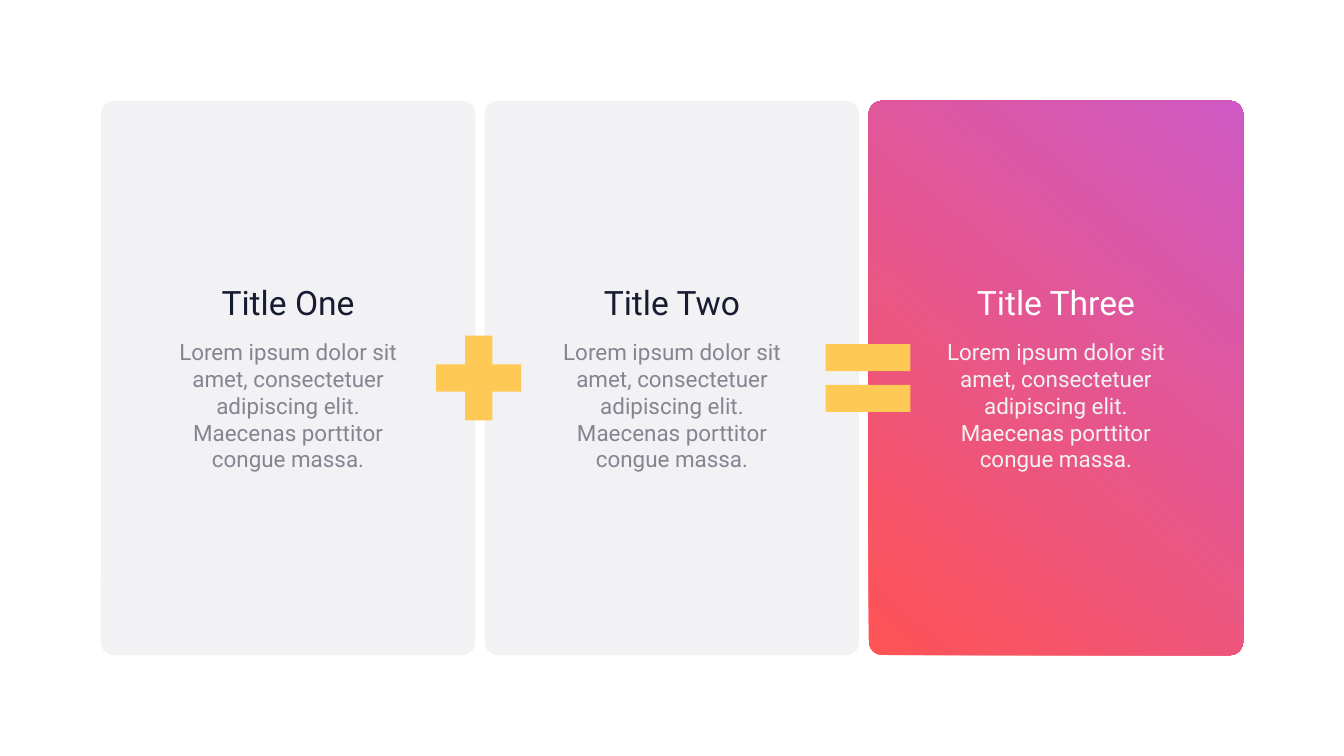
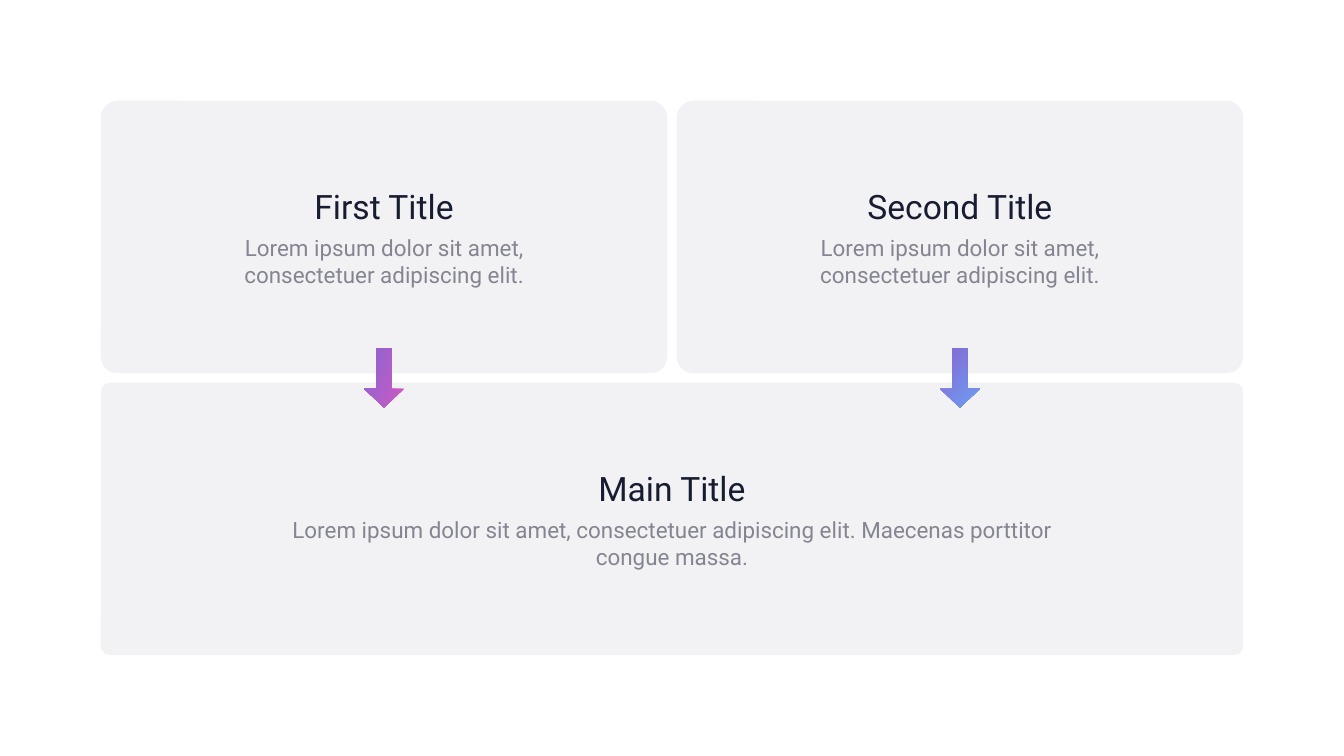
from dataclasses import dataclass

import pptx
import pptx.dml.color
import pptx.enum.shapes
import pptx.enum.text
import pptx.util

SHAPES = pptx.enum.shapes.MSO_SHAPE


@dataclass(frozen=True)
class Theme:
    font: str = "Roboto"
    title_size: int = 36
    body_size: int = 24
    panel: str = "F2F2F5"
    ink: str = "171C30"
    muted: str = "858591"
    white: str = "FFFFFF"
    pale: str = "F2F2F2"
    accent: str = "FFC955"
    red: str = "FF5355"
    pink: str = "CE59C4"
    violet: str = "8766D0"
    blue: str = "6C9FF4"


@dataclass(frozen=True)
class Box:
    left: float
    top: float
    width: float
    height: float

    @property
    def center(self):
        return self.left + self.width / 2, self.top + self.height / 2

    def lengths(self):
        return [pptx.util.Inches(value) for value in (self.left, self.top, self.width, self.height)]


THEME = Theme()
SLIDE_WIDTH, SLIDE_HEIGHT = 20, 11.25
MARGIN, GUTTER = 1.5, 0.14
TITLE_HEIGHT = 0.71
LOREM = "Lorem ipsum dolor sit amet, consectetuer adipiscing elit."
LONG_LOREM = f"{LOREM} Maecenas porttitor congue massa."


def grid_cell(columns, rows, column, row):
    width = (SLIDE_WIDTH - 2 * MARGIN - (columns - 1) * GUTTER) / columns
    height = (SLIDE_HEIGHT - 2 * MARGIN - (rows - 1) * GUTTER) / rows
    return Box(MARGIN + column * (width + GUTTER), MARGIN + row * (height + GUTTER), width, height)


def centered_box(center, width, height):
    return Box(center[0] - width / 2, center[1] - height / 2, width, height)


def set_attributes(target, values):
    for name, value in values.items():
        setattr(target, name, value)


def color(code):
    return pptx.dml.color.RGBColor.from_string(code)


def paint(shape, fill):
    if isinstance(fill, str):
        shape.fill.solid()
        shape.fill.fore_color.rgb = color(fill)
        return
    start, end, angle = fill
    shape.fill.gradient()
    shape.fill.gradient_angle = angle
    for stop, position, code in zip(shape.fill.gradient_stops, (0, 1), (start, end)):
        stop.position = position
        stop.color.rgb = color(code)


def add_shape(slide, kind, box, fill, adjustments=(), rotation=0):
    shape = slide.shapes.add_shape(kind, *box.lengths())
    shape.shadow.inherit = False
    shape.line.fill.background()
    shape.rotation = rotation
    for index, value in enumerate(adjustments):
        shape.adjustments[index] = value
    paint(shape, fill)


def add_text(slide, box, lines, size, code):
    frame = slide.shapes.add_textbox(*box.lengths()).text_frame
    set_attributes(frame, {
        "word_wrap": True,
        "auto_size": pptx.enum.text.MSO_AUTO_SIZE.SHAPE_TO_FIT_TEXT,
        "text": "\n".join(lines),
    })
    for paragraph in frame.paragraphs:
        paragraph.alignment = pptx.enum.text.PP_ALIGN.CENTER
        for run in paragraph.runs:
            set_attributes(run.font, {"name": THEME.font, "size": pptx.util.Pt(size)})
            run.font.color.rgb = color(code)


def add_card(slide, cell, title, lines, radius, title_share, body_share, body_height,
             gap=0.01, fill=THEME.panel, title_color=THEME.ink, body_color=THEME.muted):
    add_shape(slide, SHAPES.ROUNDED_RECTANGLE, cell, fill,
              [radius / min(cell.width, cell.height)])
    middle, center_y = cell.center
    top = center_y - (TITLE_HEIGHT + gap + body_height) / 2
    title_box = centered_box((middle, top + TITLE_HEIGHT / 2),
                             title_share * cell.width, TITLE_HEIGHT)
    body_box = centered_box((middle, top + TITLE_HEIGHT + gap + body_height / 2),
                            body_share * cell.width, body_height)
    add_text(slide, title_box, [title], THEME.title_size, title_color)
    add_text(slide, body_box, lines, THEME.body_size, body_color)


def add_operator(slide, kind, cell, nudge):
    center = cell.left + cell.width + GUTTER / 2 + nudge, cell.center[1]
    add_shape(slide, kind, centered_box(center, 1.72, 1.72), THEME.accent)


def add_down_arrow(slide, cell, fill):
    center = cell.center[0], cell.top + cell.height + GUTTER / 2
    add_shape(slide, SHAPES.RIGHT_ARROW, centered_box(center, 0.88, 0.59), fill,
              [0.378, 0.471], rotation=90)


def build_sum_slide(slide):
    cells = [grid_cell(3, 1, column, 0) for column in range(3)]
    result_style = {
        "fill": (THEME.red, THEME.pink, 50),
        "title_color": THEME.white,
        "body_color": THEME.pale,
    }
    cards = [("Title One", {}), ("Title Two", {}), ("Title Three", result_style)]
    for cell, (title, style) in zip(cells, cards):
        add_card(slide, cell, title, [LONG_LOREM], 0.2, 0.74, 0.637, 2.12, gap=0.12, **style)
    add_operator(slide, SHAPES.MATH_PLUS, cells[0], -0.02)
    add_operator(slide, SHAPES.MATH_EQUAL, cells[1], 0.06)


def build_merge_slide(slide):
    main_lines = [f"{LOREM} Maecenas porttitor", "congue massa."]
    add_card(slide, grid_cell(1, 2, 0, 1), "Main Title", main_lines, 0.14, 0.78, 0.78, 0.91)
    sources = [
        ("First Title", (THEME.pink, THEME.violet, 250)),
        ("Second Title", (THEME.violet, THEME.blue, 50)),
    ]
    for column, (title, arrow_fill) in enumerate(sources):
        cell = grid_cell(2, 2, column, 0)
        add_card(slide, cell, title, [LOREM], 0.25, 0.543, 0.543, 0.91)
        add_down_arrow(slide, cell, arrow_fill)


def main():
    presentation = pptx.Presentation()
    set_attributes(presentation, {
        "slide_width": pptx.util.Inches(SLIDE_WIDTH),
        "slide_height": pptx.util.Inches(SLIDE_HEIGHT),
    })
    for build in (build_sum_slide, build_merge_slide):
        build(presentation.slides.add_slide(presentation.slide_layouts[6]))
    presentation.save("out.pptx")


if __name__ == "__main__":
    main()
